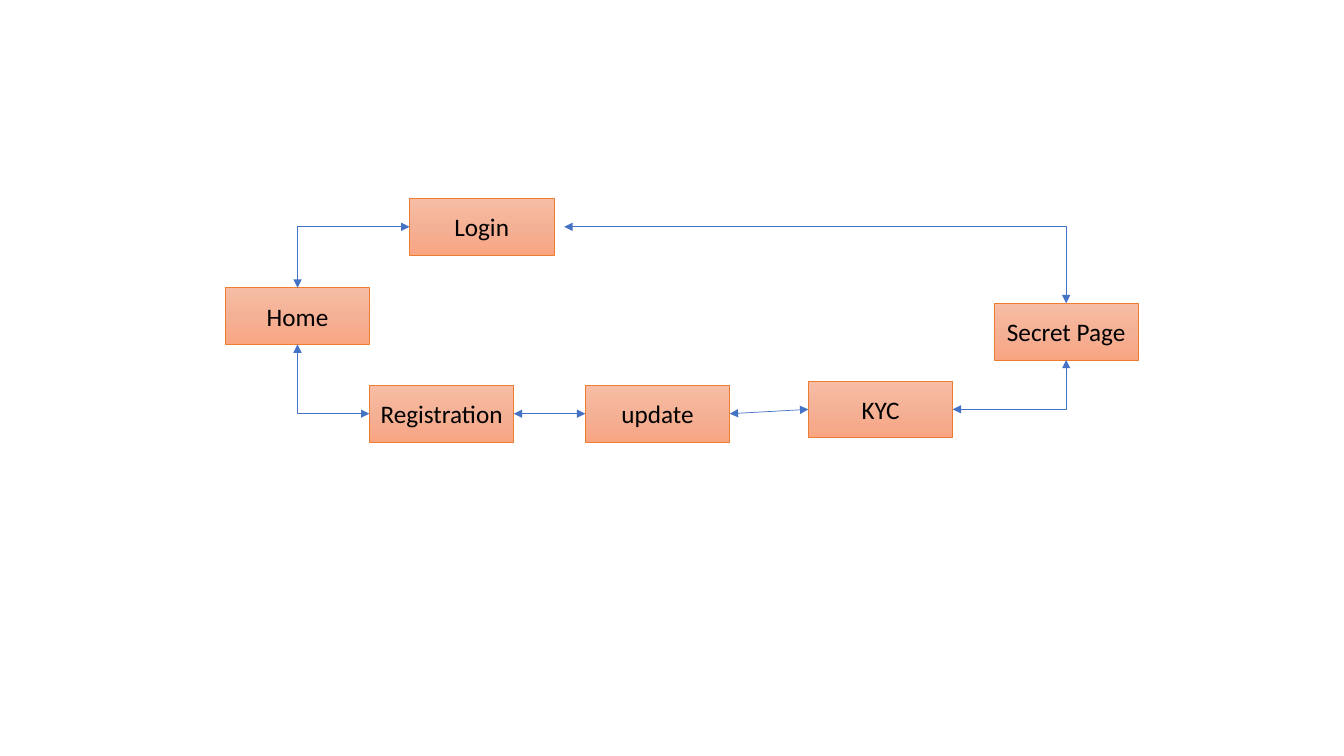
from copy import deepcopy
from dataclasses import dataclass
from enum import IntEnum

from lxml.etree import SubElement
from pptx import Presentation
from pptx.dml.color import RGBColor
from pptx.enum.shapes import MSO_CONNECTOR as Line, MSO_SHAPE as Shape
from pptx.enum.text import MSO_ANCHOR as Anchor, PP_ALIGN as Align
from pptx.oxml.ns import qn
from pptx.shapes.autoshape import Shape as Box
from pptx.slide import Slide
from pptx.util import Cm, Pt

BOX_W, BOX_H = 3.64, 1.43
LOGIN_GAP = 0.26
GRADIENT = ("F7BDA5", "F5B196", "F8A582")


class Side(IntEnum):
    TOP = 0
    LEFT = 1
    BOTTOM = 2
    RIGHT = 3


@dataclass
class Page:
    name: str
    left: float
    top: float


@dataclass
class Link:
    start: str
    start_side: Side
    end: str
    end_side: Side
    gap: float = 0


PAGES = [
    Page("Home", 5.68, 7.25),
    Page("Login", 10.32, 5),
    Page("Registration", 9.31, 9.71),
    Page("Secret Page", 25.05, 7.64),
    Page("update", 14.75, 9.71),
    Page("KYC", 20.37, 9.6),
]

LINKS = [
    Link("Registration", Side.RIGHT, "update", Side.LEFT),
    Link("update", Side.RIGHT, "KYC", Side.LEFT),
    Link("Login", Side.LEFT, "Home", Side.TOP),
    Link("Registration", Side.LEFT, "Home", Side.BOTTOM),
    Link("KYC", Side.RIGHT, "Secret Page", Side.BOTTOM),
    Link("Login", Side.RIGHT, "Secret Page", Side.TOP, LOGIN_GAP),
]


def color(value: str) -> RGBColor:
    return RGBColor.from_string(value)


def fill_gradient(sp: Box) -> None:
    sp.fill.gradient()
    sp.fill.gradient_angle = 270
    first = sp._element.spPr.find(".//" + qn("a:gs"))
    first.addnext(deepcopy(first))
    for i, (stop, value) in enumerate(zip(sp.fill.gradient_stops, GRADIENT)):
        stop.position = i / (len(GRADIENT) - 1)
        stop.color.rgb = color(value)


def add_page(s: Slide, page: Page) -> Box:
    sp = s.shapes.add_shape(Shape.RECTANGLE, Cm(page.left), Cm(page.top), Cm(BOX_W), Cm(BOX_H))
    sp.shadow.inherit = False
    fill_gradient(sp)
    sp.line.color.rgb = color("ED7D31")
    sp.line.width = Pt(0.5)
    tf = sp.text_frame
    tf.word_wrap = True
    tf.vertical_anchor = Anchor.MIDDLE
    p = tf.paragraphs[0]
    p.alignment = Align.CENTER
    r = p.add_run()
    r.text = page.name
    r.font.name = "Calibri"
    r.font.size = Pt(18)
    r.font.color.rgb = color("000000")
    return sp


def add_link(s: Slide, link: Link, boxes: dict[str, Box]) -> None:
    start, end = boxes[link.start], boxes[link.end]
    bent = link.end_side in (Side.TOP, Side.BOTTOM)
    x = start.left + start.width + Cm(link.gap)
    y = start.top + start.height // 2
    cx = s.shapes.add_connector(Line.ELBOW if bent else Line.STRAIGHT, x, y, x, y)
    if not link.gap:
        cx.begin_connect(start, link.start_side)
    cx.end_connect(end, link.end_side)
    cx.line.color.rgb = color("4472C4")
    cx.line.width = Pt(0.5)
    spPr = cx._element.spPr
    if bent:
        spPr.find(qn("a:prstGeom")).set("prst", "bentConnector2")
    ln = spPr.find(qn("a:ln"))
    for tag in ("a:headEnd", "a:tailEnd"):
        SubElement(ln, qn(tag), type="triangle")
    SubElement(spPr, qn("a:effectLst"))


prs = Presentation()
prs.slide_width, prs.slide_height = Cm(33.87), Cm(19.05)
s = prs.slides.add_slide(prs.slide_layouts[6])
boxes = {page.name: add_page(s, page) for page in PAGES}
for link in LINKS:
    add_link(s, link, boxes)
prs.save("out.pptx")
